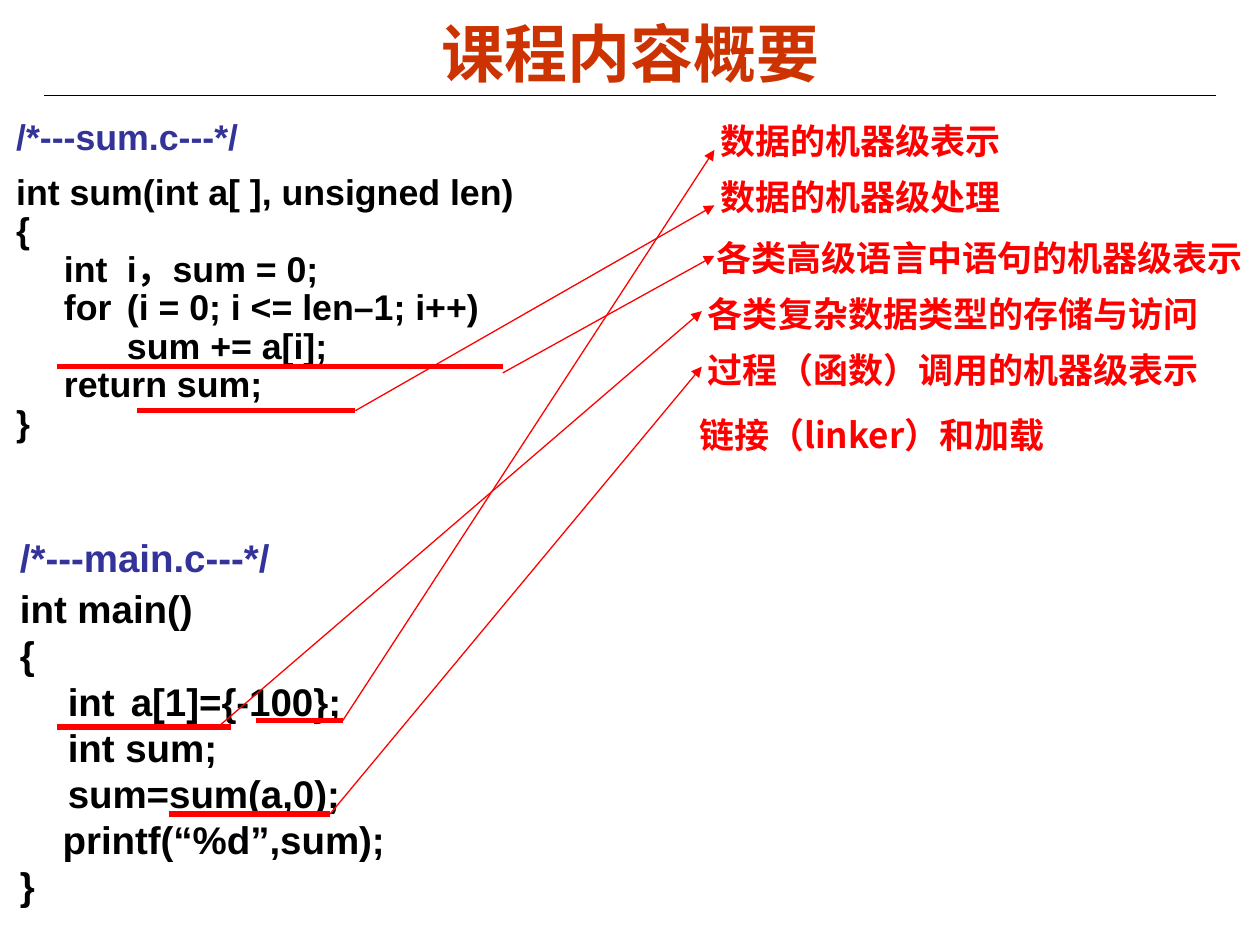
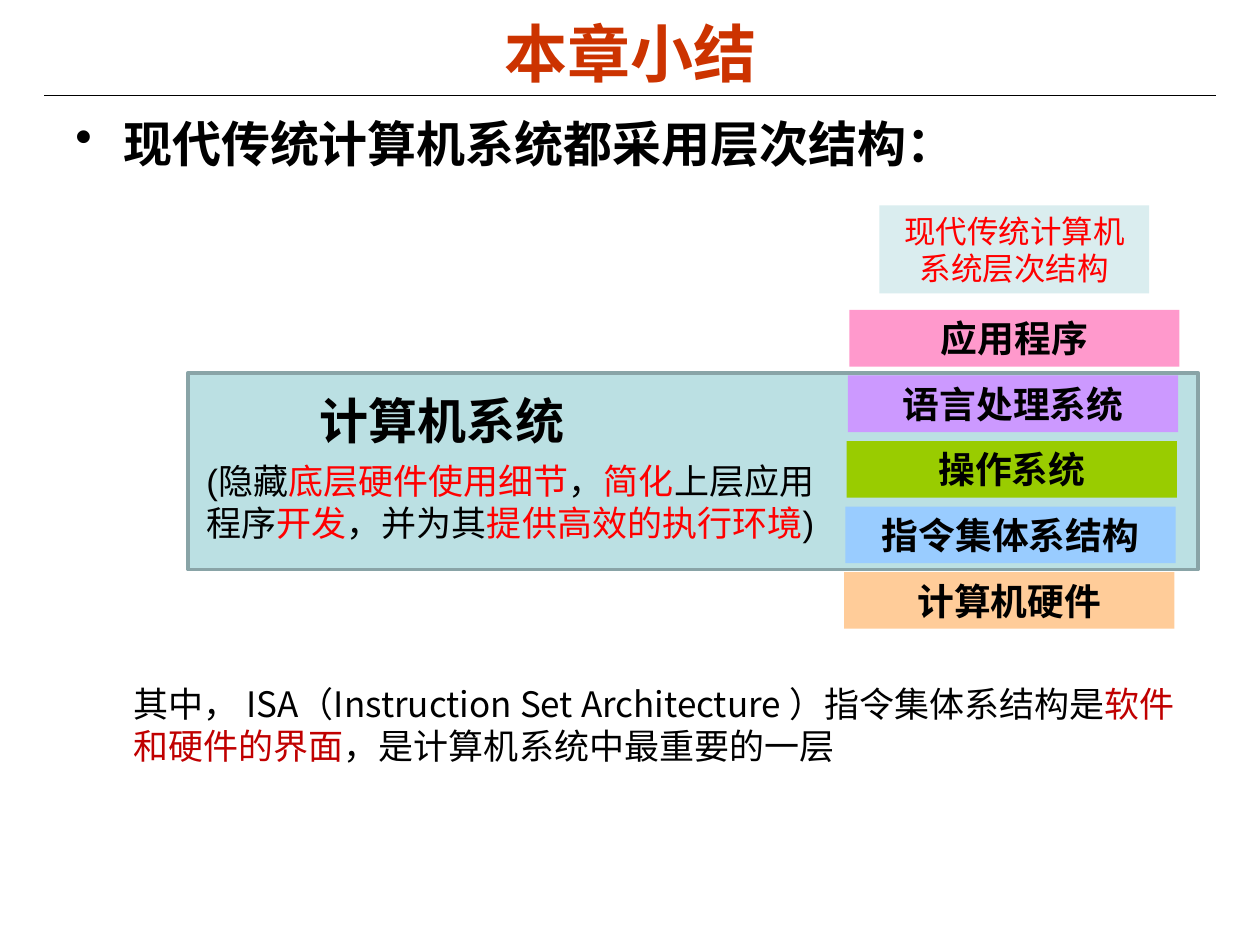
from pptx import Presentation
from pptx.dml.color import RGBColor
from pptx.enum.shapes import MSO_CONNECTOR, MSO_SHAPE
from pptx.enum.text import MSO_ANCHOR, MSO_AUTO_SIZE, PP_ALIGN
from pptx.oxml.ns import qn
from pptx.util import Inches, Pt
from lxml.etree import SubElement

COLORS = {
    "title": "CC3300", "black": "000000", "comment": "333399", "red": "FF0000",
    "deep_red": "C00000", "panel": "BBE0E3", "panel_edge": "89A4A7",
    "caption": "DAEDEF", "pink": "FF99CC", "violet": "CC99FF",
    "green": "99CC00", "blue": "99CCFF", "orange": "FFCC99",
}
COLORS = {name: RGBColor.from_string(value) for name, value in COLORS.items()}
LATIN, CJK = "Arial", "Noto Sans CJK SC"

prs = Presentation()
prs.slide_width, prs.slide_height = Inches(10), Inches(7.5)
COL = prs.slide_width // 100   # 100 columns
ROW = prs.slide_height // 75   # 75 rows


def write(sp, paras, size, bold=False, name=LATIN, align=PP_ALIGN.LEFT,
          anchor=MSO_ANCHOR.TOP, wrap=True, hang=0, bullet=None):
    """Fill a shape; each paragraph is (runs, format), each run (text, colour)."""
    tf = sp.text_frame
    frame = {"word_wrap": wrap, "vertical_anchor": anchor,
             "auto_size": MSO_AUTO_SIZE.NONE}
    for key, value in frame.items():
        setattr(tf, key, value)
    for i, (runs, fmt) in enumerate(paras):
        p = tf.paragraphs[0] if i == 0 else tf.add_paragraph()
        pPr = p._p.get_or_add_pPr()
        if hang:
            pPr.set("marL", str(Inches(hang)))
            pPr.set("indent", str(-Inches(hang)))
            if bullet:
                SubElement(pPr, qn("a:buChar"), char=bullet)
            tabs = SubElement(pPr, qn("a:tabLst"))
            for stop in range(8):
                SubElement(tabs, qn("a:tab"), pos=str(Inches(stop)), algn="l")
        for key, value in {"alignment": align, **fmt}.items():
            setattr(p, key, value)
        for text, color in runs:
            r = p.add_run()
            r.text = text
            for key, value in {"size": Pt(size), "bold": bold, "name": name}.items():
                setattr(r.font, key, value)
            r.font.color.rgb = COLORS[color]
            SubElement(r._r.get_or_add_rPr(), qn("a:ea"), typeface=CJK)


def add_line(s, start, end, color, width, arrow=False):
    """Draw a straight line between two grid points."""
    ln = s.shapes.add_connector(MSO_CONNECTOR.STRAIGHT,
                                int(start[0] * COL), int(start[1] * ROW),
                                int(end[0] * COL), int(end[1] * ROW))
    ln.line.color.rgb = COLORS[color]
    ln.line.width = Pt(width)
    if arrow:
        SubElement(ln.line._get_or_add_ln(), qn("a:tailEnd"), type="triangle")
    SubElement(ln._element.spPr, qn("a:effectLst"))


# Shared title and rule
slides = []
for title in ("课程内容概要", "本章小结"):
    s = prs.slides.add_slide(prs.slide_layouts[5])
    add_line(s, (3.5, 7.6), (96.5, 7.6), "black", 0.75)
    sp = s.shapes.title
    place = {"left": 5 * COL, "top": int(1.1 * ROW),
             "width": 90 * COL, "height": int(6.1 * ROW)}
    for key, value in place.items():
        setattr(sp, key, value)
    write(sp, [([(title, "title")], {})], 36, bold=True,
          align=PP_ALIGN.CENTER, anchor=MSO_ANCHOR.MIDDLE)
    slides.append(s)
overview, summary = slides

# Slide 1: code listings (left, top, width, height, size, spacing, lines)
sum_code = ["{", "\tint \ti，sum = 0;", "\tfor\t(i = 0; i <= len–1; i++)",
            "      \tsum += a[i];", "\treturn sum;", "}"]
main_code = ["{", "\tint \ta[1]={-100};", "\tint sum; sum=sum(a,0);",
             "    printf(“%d”,sum);", "}"]
listings = [
    (0.3, 9, 45.6, 31, 20.4, 0.9, "/*---sum.c---*/",
     "int sum(int a[ ], unsigned len)", {"line_spacing": 1.05, "space_before": Pt(5.5)},
     sum_code),
    (0.6, 41.9, 36.9, 31, 22, 1.0, "/*---main.c---*/",
     "int main()", {"line_spacing": 1.0, "space_before": Pt(2.8)}, main_code),
]
for x, y, w, h, size, spacing, comment, head, head_fmt, code in listings:
    sp = overview.shapes.add_textbox(int(x * COL), int(y * ROW), int(w * COL), int(h * ROW))
    body = {"line_spacing": spacing, "space_before": Pt(0)}
    paras = [([(comment, "comment")], body), ([(head, "black")], head_fmt)]
    paras += [([(line, "black")], body) for line in code]
    write(sp, paras, size, bold=True, hang=0.38)

# Slide 1: topics (text, left, top, width, underline, arrow)
topics = [
    ("数据的机器级表示", 56.2, 9, 27.1,
     ((20.3, 57.2), (27.2, 57.2)), ((27.2, 57.2), (56.7, 11.9))),
    ("数据的机器级处理", 56.2, 13.4, 25.9,
     ((10.9, 32.6), (28.2, 32.6)), ((28.2, 32.6), (56.7, 16.3))),
    ("各类高级语言中语句的机器级表示", 55.9, 18.3, 44.1,
     ((4.5, 29.1), (39.9, 29.1)), ((39.9, 29.6), (56.7, 20.3))),
    ("各类复杂数据类型的存储与访问", 55.2, 22.7, 41.8,
     ((4.5, 57.7), (18.3, 57.7)), ((17.3, 57.7), (55.7, 24.7))),
    ("过程（函数）调用的机器级表示", 55.2, 27.2, 41.8,
     ((13.4, 64.6), (26.2, 64.6)), ((26.2, 64.6), (55.7, 29.1))),
    ("链接（linker）和加载", 54.5, 32.3, 40.8, None, None),
]
for text, x, y, w, underline, arrow in topics:
    if underline:
        add_line(overview, *underline, "red", 3)
        add_line(overview, *arrow, "red", 0.75, arrow=True)
    sp = overview.shapes.add_textbox(int(x * COL), int(y * ROW), int(w * COL), int(4.4 * ROW))
    write(sp, [([(text, "red")], {})], 20, bold=True, name=LATIN if underline else CJK)

# Slide 2: filled boxes (left, top, width, height, fill, text, size, bold, colour)
boxes = [
    (69.8, 16.3, 21.4, 7, "caption", "现代传统计算机系统层次结构", 18, False, "red"),
    (14.9, 29.6, 80.2, 15.6, "panel", "", 20, False, "black"),
]
layers = [("应用程序", "pink"), ("语言处理系统", "violet"), ("操作系统", "green"),
          ("指令集体系结构", "blue"), ("计算机硬件", "orange")]
for i, (text, fill) in enumerate(layers):
    boxes.append((67.4 - 0.1 * i, 24.6 + 5.2 * i, 26.2, 4.5, fill, text, 21, True, "black"))
for x, y, w, h, fill, text, size, bold, color in boxes:
    sp = summary.shapes.add_shape(MSO_SHAPE.RECTANGLE, int(x * COL), int(y * ROW),
                                  int(w * COL), int(h * ROW))
    sp.shadow.inherit = False
    sp.fill.solid()
    sp.fill.fore_color.rgb = COLORS[fill]
    if text:
        sp.line.fill.background()
        write(sp, [([(text, color)], {})], size, bold=bold, align=PP_ALIGN.CENTER)
    else:
        sp.line.color.rgb = COLORS["panel_edge"]
        sp.line.width = Pt(2)

# Slide 2: free text (left, top, width, height, runs, format)
texts = [
    (5, 8.5, 94.9, 6, [("现代传统计算机系统都采用层次结构：", "black")],
     {"size": 28, "bold": True, "hang": 0.38, "bullet": "•"}),
    (24.4, 30.5, 21.4, 5.7, [("计算机系统", "black")],
     {"size": 28, "bold": True, "align": PP_ALIGN.CENTER, "wrap": False}),
    (15.4, 36, 51.6, 7.7,
     [("(隐藏", "black"), ("底层硬件使用细节", "red"), ("，", "black"),
      ("简化", "red"), ("上层应用程序", "black"), ("开发", "red"),
      ("，并为其", "black"), ("提供高效的执行环境", "red"), (")", "black")],
     {"size": 20}),
    (9.6, 53.7, 87.1, 7.7,
     [("其中， ISA（Instruction Set Architecture ）指令集体系结构是", "black"),
      ("软件和硬件的界面", "deep_red"), ("，是计算机系统中最重要的一层", "black")],
     {"size": 20, "name": CJK}),
]
for x, y, w, h, runs, fmt in texts:
    sp = summary.shapes.add_textbox(int(x * COL), int(y * ROW), int(w * COL), int(h * ROW))
    write(sp, [(runs, {})], **fmt)

prs.save("out.pptx")
